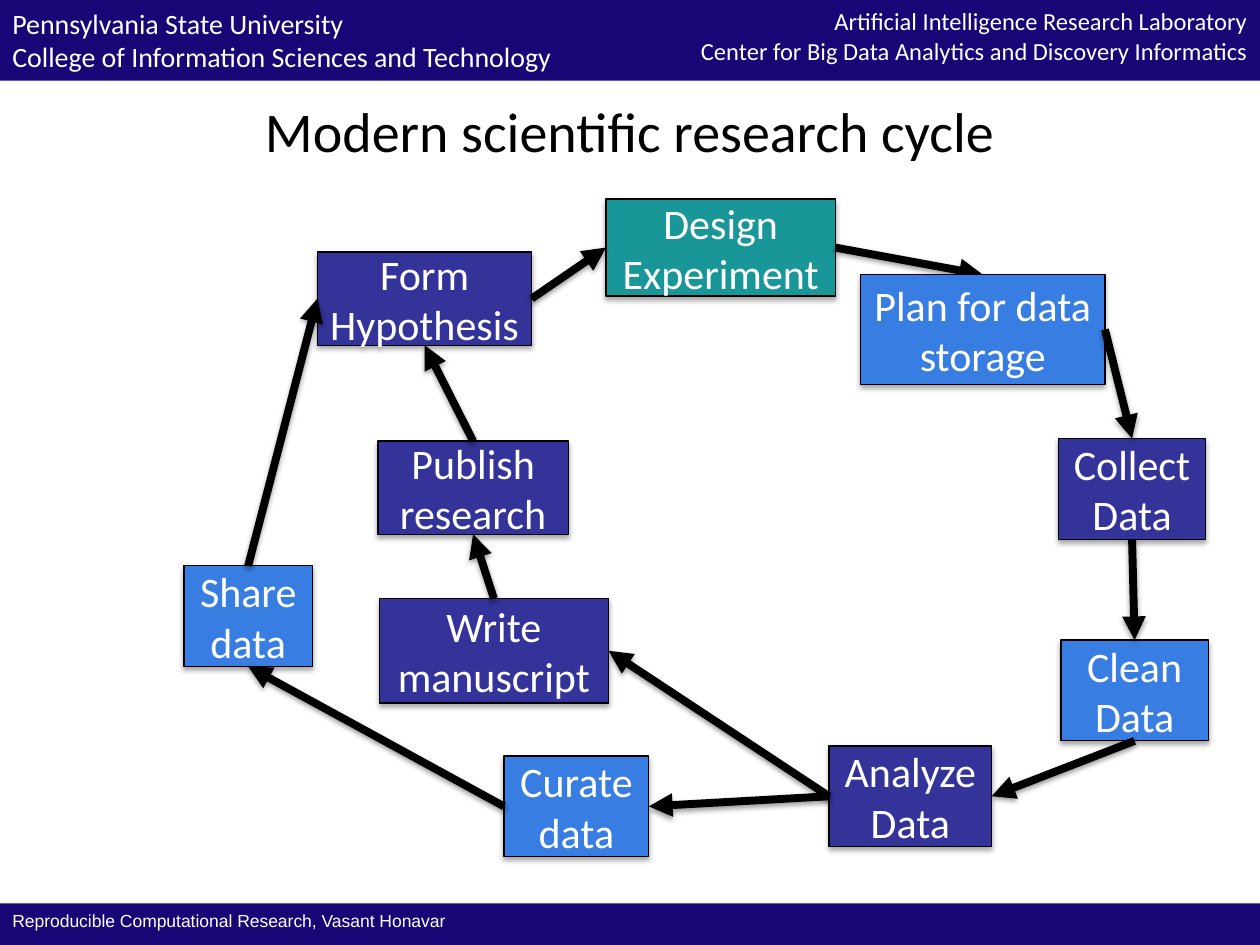
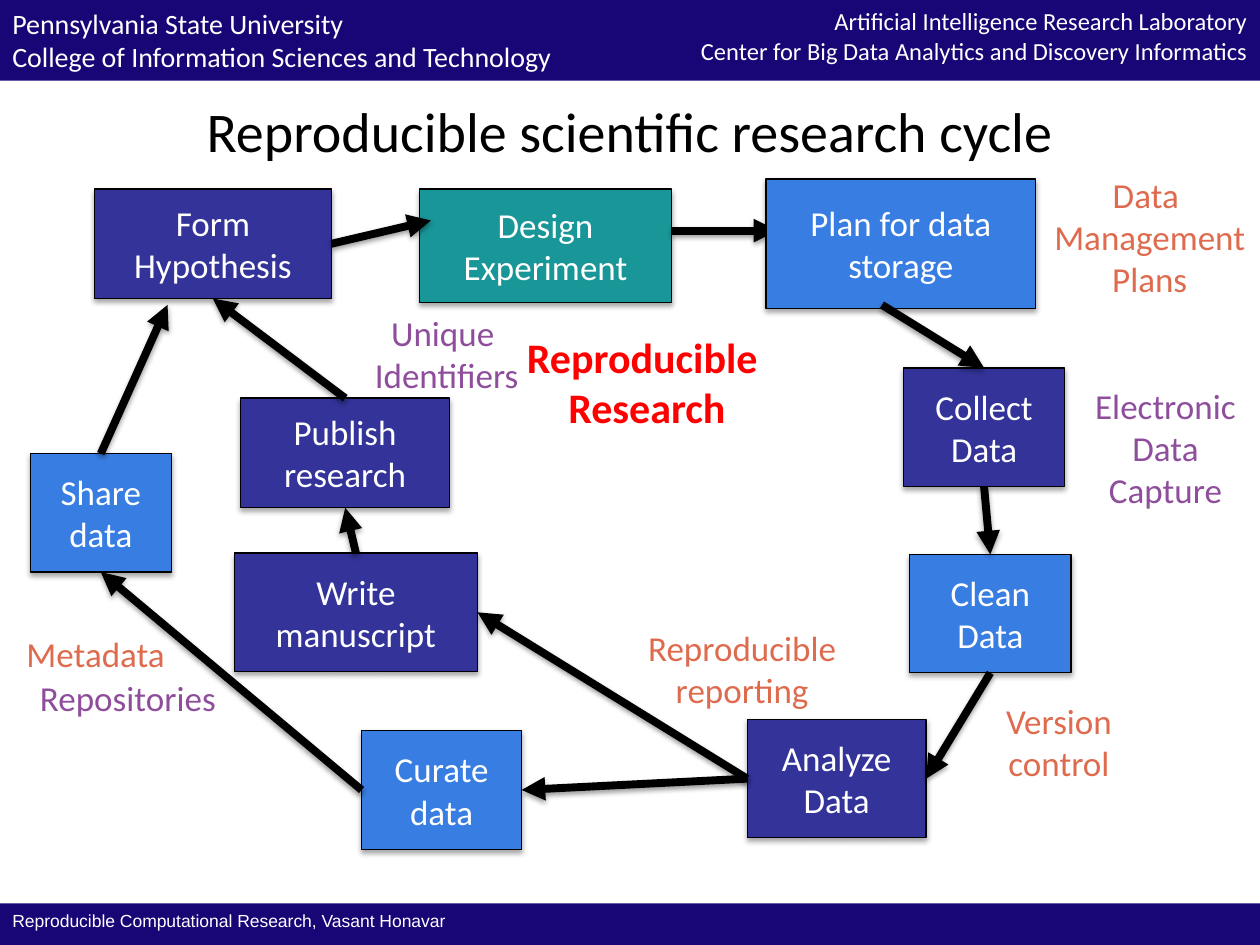
from lxml import etree
from pptx import Presentation
from pptx import util as u
from pptx.dml.color import RGBColor
from pptx.enum import shapes, text
from pptx.oxml.ns import qn

paint = RGBColor.from_string
NAVY, INDIGO, BLUE, TEAL = "180576", "333399", "387DE1", "199698"
WHITE, BLACK, RED, CORAL, PURPLE = "FFFFFF", "000000", "FF0000", "DE6B4E", "8E4E9B"
LEFT, CENTER, RIGHT = text.PP_ALIGN.LEFT, text.PP_ALIGN.CENTER, text.PP_ALIGN.RIGHT
TOP, MIDDLE = text.MSO_ANCHOR.TOP, text.MSO_ANCHOR.MIDDLE

deck = Presentation()
deck.slide_width, deck.slide_height = u.Inches(10), u.Inches(7.5)
cell = deck.slide_width // 100
layout = deck.slide_layouts.get_by_name("Title Only")


def add_panel(page, place, lines, size, ink, fill=None, align=CENTER, anchor=TOP, font="Calibri", bold=False):
    area = [round(cell * share) for share in place]
    if fill:
        box = page.shapes.add_shape(shapes.MSO_SHAPE.RECTANGLE, *area)
        box.fill.solid()
        box.fill.fore_color.rgb = paint(fill)
        box.line.fill.background()
        box.shadow.inherit = False
    else:
        box = page.shapes.add_textbox(*area)
    frame = box.text_frame
    frame.word_wrap = not bold
    frame.vertical_anchor = anchor
    for number, line in enumerate(lines.split("\n")):
        para = frame.add_paragraph() if number else frame.paragraphs[0]
        para.alignment = align
        span = para.add_run()
        span.text = line
        span.font.name, span.font.size, span.font.bold = font, u.Pt(size), bold
        span.font.color.rgb = paint(ink)
    return box


def cast_shadow(item, opacity, distance):
    properties = item.element.spPr
    effects = properties.find(qn("a:effectLst"))
    if effects is None:
        effects = etree.SubElement(properties, qn("a:effectLst"))
    shadow = etree.SubElement(effects, qn("a:outerShdw"), blurRad=str(u.Pt(3.1)),
                              dist=str(u.Pt(distance)), dir="5400000", rotWithShape="0")
    tint = etree.SubElement(shadow, qn("a:srgbClr"), val=BLACK)
    etree.SubElement(tint, qn("a:alpha"), val=str(opacity * 1000))


steps = {
    "Form": ("Form\nHypothesis", INDIGO),
    "Collect": ("Collect Data", INDIGO),
    "Design": ("Design Experiment", TEAL),
    "Publish": ("Publish research", INDIGO),
    "Clean": ("Clean Data", BLUE),
    "Analyze": ("Analyze Data", INDIGO),
    "Write": ("Write manuscript", INDIGO),
    "Share": ("Share data", BLUE),
    "Curate": ("Curate data", BLUE),
    "Plan": ("Plan for data storage", BLUE),
}

top, left, bottom, right = range(4)
flow = [
    ("Design", right, "Plan", top),
    ("Share", top, "Form", left),
    ("Curate", left, "Share", bottom),
    ("Form", right, "Design", left),
    ("Analyze", left, "Curate", right),
    ("Plan", right, "Collect", top),
    ("Analyze", left, "Write", right),
    ("Clean", bottom, "Analyze", right),
    ("Collect", bottom, "Clean", top),
    ("Publish", top, "Form", bottom),
    ("Write", top, "Publish", bottom),
]

cycles = [
    {
        "title": "Modern scientific research cycle",
        "size": 24,
        "places": {
            "Form": (25.2, 20, 17, 7.4), "Collect": (84, 34.8, 11.7, 8),
            "Design": (48.1, 15.8, 18.2, 7.7), "Publish": (30, 35, 15.1, 7.4),
            "Clean": (84.2, 50.8, 11.7, 8), "Analyze": (65.8, 59.2, 12.9, 8),
            "Write": (30.1, 47.5, 18.2, 8.3), "Share": (14.6, 44.9, 10.2, 8),
            "Curate": (40, 60, 11.5, 8), "Plan": (68.3, 21.8, 19.4, 8.7),
        },
        "loose_starts": {},
        "loose_ends": {},
        "labels": [],
    },
    {
        "title": "Reproducible scientific research cycle",
        "size": 20,
        "places": {
            "Form": (7.5, 15, 18.8, 8.7), "Collect": (71.7, 29.2, 12.8, 9.4),
            "Design": (33.3, 15, 20, 9), "Publish": (19.1, 31.6, 16.6, 8.7),
            "Clean": (72.2, 44, 12.8, 9.4), "Analyze": (59.3, 57.1, 14.2, 9.4),
            "Write": (18.6, 43.9, 19.3, 9.4), "Share": (2.4, 36, 11.2, 9.4),
            "Curate": (28.7, 58, 12.7, 9.4), "Plan": (60.8, 14.2, 21.4, 10.3),
        },
        "loose_starts": {("Design", "Plan"): (53.3, 18.3), ("Plan", "Collect"): (70, 24.2)},
        "loose_ends": {("Design", "Plan"): (61.7, 18.3), ("Share", "Form"): (13.3, 24.2),
                       ("Form", "Design"): (34.2, 17.5)},
        "labels": [
            ("Data \nManagement \nPlans", (82.5, 13.3, 17.5, 11.1), CORAL),
            ("Electronic Data Capture", (85, 30, 15, 11.1), PURPLE),
            ("Version control", (76.7, 55, 14.7, 7.7), CORAL),
            ("Repositories", (-0.3, 53.2, 20.9, 4.4), PURPLE),
            ("Reproducible reporting", (45.8, 49.2, 26.2, 7.7), CORAL),
            ("Metadata", (-0.9, 49.7, 17, 4.4), CORAL),
            ("Unique \nIdentifiers", (26.7, 24.2, 17.5, 7.7), PURPLE),
            ("Reproducible \nResearch", (40, 25.8, 22.7, 10.7), RED),
        ],
    },
]

pages = [deck.slides.add_slide(layout) for cycle in cycles]

headers = [
    ("Pennsylvania State University\nCollege of Information Sciences and Technology",
     (0, 0, 100, 6.4), 16, LEFT),
    ("Artificial Intelligence Research Laboratory\nCenter for Big Data Analytics and Discovery Informatics",
     (45.8, 0, 54.2, 5.7), 14, RIGHT),
]
for wording, place, size, align in headers:
    band = add_panel(pages[0], place, wording, size, WHITE, NAVY, align)
    layout.shapes.element.append(band.element)

for page, cycle in zip(pages, cycles):
    title = page.shapes.title
    title.left, title.top, title.width, title.height = 0, round(cell * 6.7), cell * 100, round(cell * 7.2)
    title.text_frame.vertical_anchor = MIDDLE
    para = title.text_frame.paragraphs[0]
    para.alignment = CENTER
    span = para.add_run()
    span.text = cycle["title"]
    span.font.name, span.font.size = "Calibri", u.Pt(32)
    span.font.color.rgb = paint(BLACK)

    add_panel(page, (0, 71.7, 100, 3.3), "Reproducible Computational Research, Vasant Honavar",
              10, WHITE, NAVY, LEFT, font="Arial")

    boxes = {}
    for step, (wording, fill) in steps.items():
        box = add_panel(page, cycle["places"][step], wording, cycle["size"], WHITE, fill, anchor=MIDDLE)
        box.line.color.rgb = paint(BLACK)
        box.line.width = u.Pt(0.75)
        cast_shadow(box, 35, 1.8)
        boxes[step] = box

    for wording, place, ink in cycle["labels"]:
        central = ink == RED
        add_panel(page, place, wording, 24 if central else 20, ink, bold=central)

    for start, start_side, end, end_side in flow:
        loose_start = cycle["loose_starts"].get((start, end))
        loose_end = cycle["loose_ends"].get((start, end))
        points = [round(cell * share) for share in (loose_start or (0, 0)) + (loose_end or (0, 0))]
        arrow = page.shapes.add_connector(shapes.MSO_CONNECTOR.STRAIGHT, *points)
        if not loose_start:
            arrow.begin_connect(boxes[start], start_side)
        if not loose_end:
            arrow.end_connect(boxes[end], end_side)
        arrow.line.color.rgb = paint(BLACK)
        arrow.line.width = u.Pt(4.5)
        etree.SubElement(arrow.element.spPr.find(qn("a:ln")), qn("a:tailEnd"), type="triangle")
        cast_shadow(arrow, 38, 1.6)
        if end == "Plan":
            boxes[end].element.addprevious(arrow.element)

deck.save("out.pptx")
